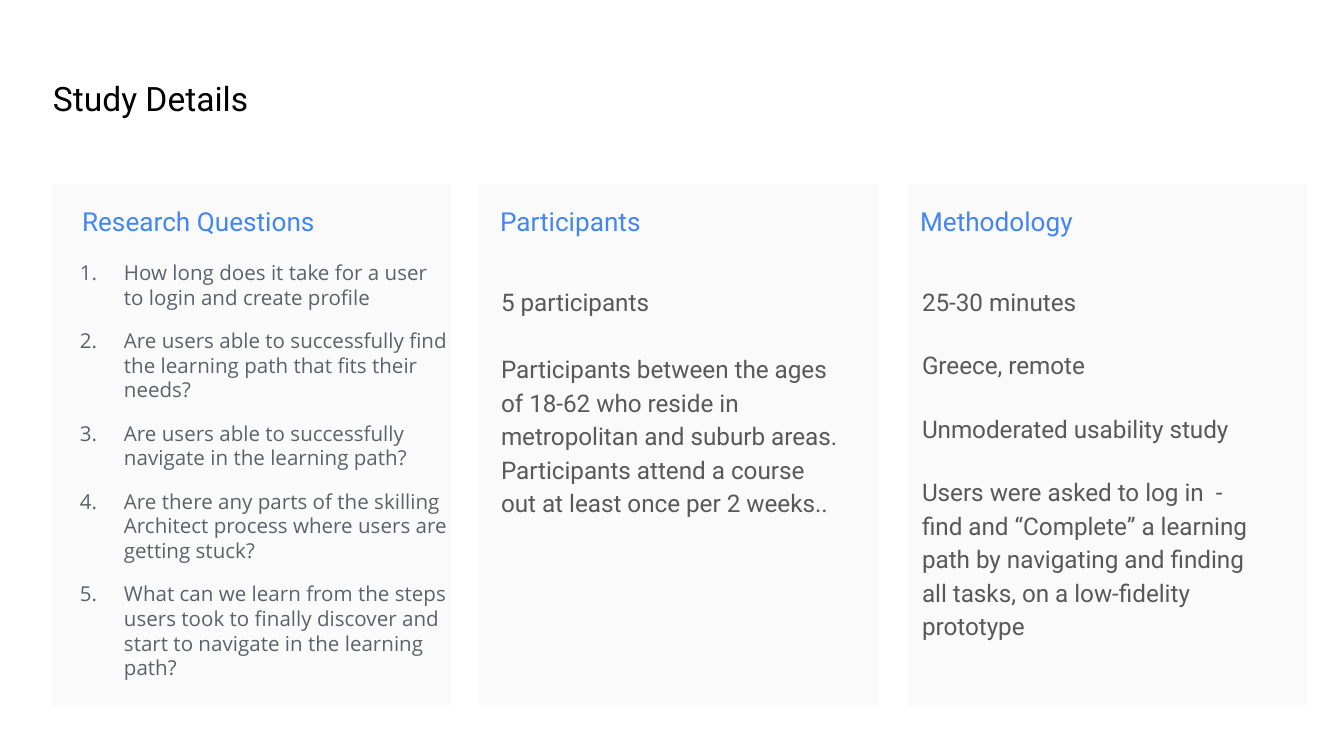
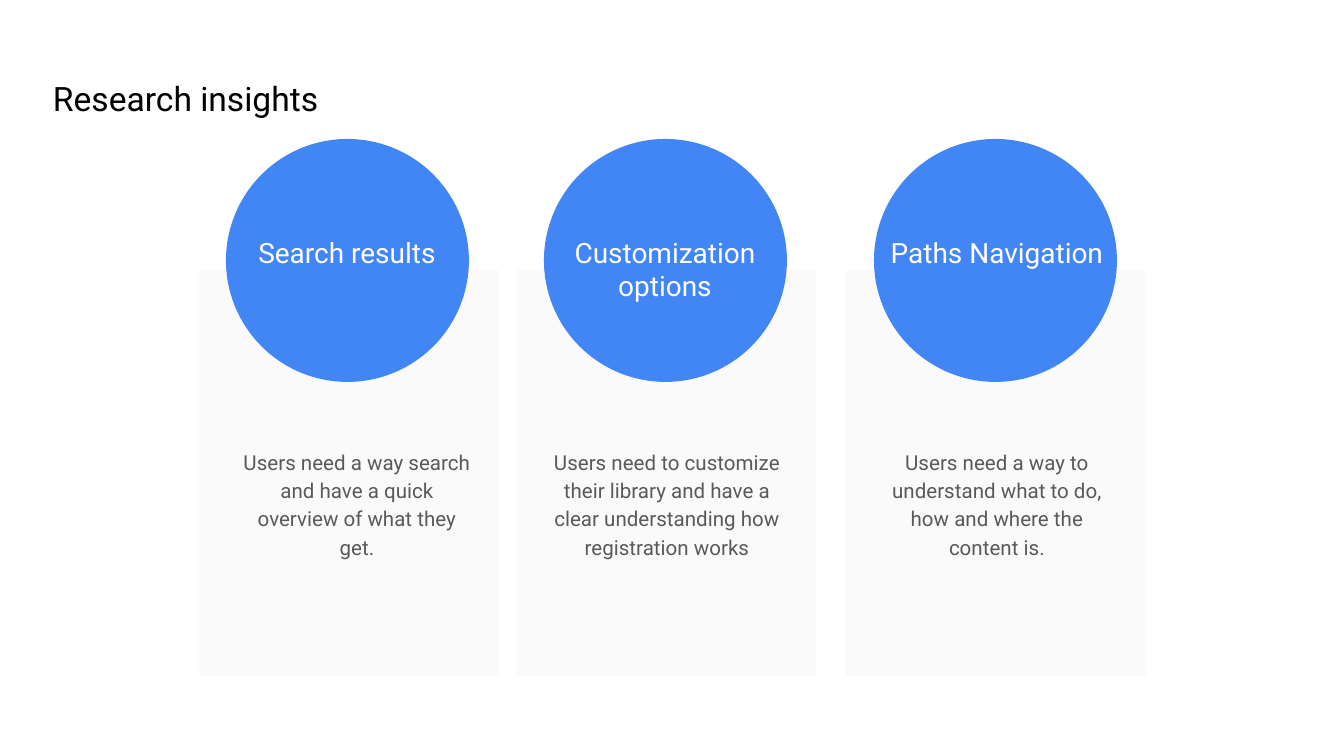
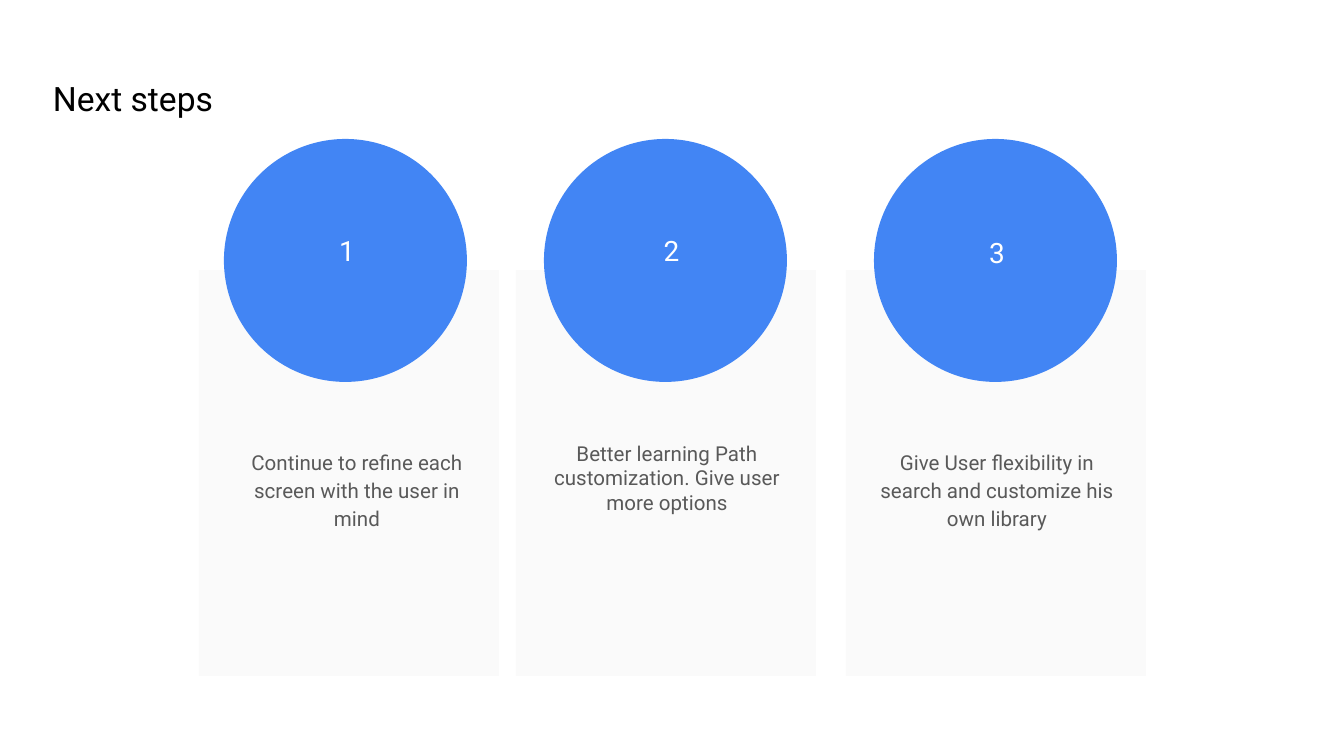
from dataclasses import dataclass
from typing import NamedTuple

from lxml.etree import SubElement
from pptx import Presentation
from pptx.dml.color import RGBColor
from pptx.enum.shapes import MSO_SHAPE
from pptx.enum.text import MSO_ANCHOR, PP_ALIGN
from pptx.oxml.ns import qn
from pptx.util import Pt

SLIDE_W, SLIDE_H = 1344, 756
EMU_PER_PX = 9144000 / SLIDE_W


def px(length):
    return round(length * EMU_PER_PX)


class Box(NamedTuple):
    left: int
    top: int
    width: int
    height: int

    def inner(self, dx, dy, width, height):
        """A box placed relative to this one's top left corner."""
        return Box(self.left + dx, self.top + dy, width, height)


@dataclass(frozen=True)
class Style:
    size: int
    color: str
    font: str = "Roboto"
    align: PP_ALIGN = PP_ALIGN.LEFT
    line_spacing: float = 1.0
    space_before: int = 0


class Theme:
    background = "FFFFFF"
    card = "FAFAFA"
    accent = "4285F4"
    inset = 13
    title = Style(18, "000000", line_spacing=1.15)
    heading = Style(14, accent)
    questions = Style(11, "5E6268", font="Open Sans", space_before=10)
    participants = Style(13, "595959", line_spacing=1.15, space_before=18)
    methodology = Style(13, "595959", line_spacing=1.15, space_before=16)
    label = Style(15, "FFFFFF", align=PP_ALIGN.CENTER)
    insight = Style(11, "595959", align=PP_ALIGN.CENTER, line_spacing=1.15)
    insight_tight = Style(11, "595959", align=PP_ALIGN.CENTER)


# Shared parts

def add_panel(slide, preset, box, color):
    panel = slide.shapes.add_shape(preset, *map(px, box))
    panel.shadow.inherit = False
    panel.fill.solid()
    panel.fill.fore_color.rgb = RGBColor.from_string(color)
    panel.line.fill.background()


def number_paragraph(paragraph, color):
    props = paragraph._p.get_or_add_pPr()
    props.set("marL", str(px(67)))
    props.set("indent", str(px(-44)))
    bullet_color = SubElement(props, qn("a:buClr"))
    SubElement(bullet_color, qn("a:srgbClr")).set("val", color)
    SubElement(props, qn("a:buAutoNum")).set("type", "arabicPeriod")


def add_text(slide, box, lines, style, numbered=False, top_inset=Theme.inset):
    frame = slide.shapes.add_textbox(*map(px, box)).text_frame
    frame.word_wrap = True
    frame.vertical_anchor = MSO_ANCHOR.TOP
    frame.margin_left = frame.margin_right = frame.margin_bottom = px(Theme.inset)
    frame.margin_top = px(top_inset)
    for index, line in enumerate(lines):
        paragraph = frame.add_paragraph() if index else frame.paragraphs[0]
        paragraph.alignment = style.align
        paragraph.line_spacing = style.line_spacing
        if index:
            paragraph.space_before = Pt(style.space_before)
        if numbered:
            number_paragraph(paragraph, style.color)
        run = paragraph.add_run()
        run.text = line
        run.font.name = style.font
        run.font.size = Pt(style.size)
        run.font.color.rgb = RGBColor.from_string(style.color)


def add_titled_slide(deck, title, title_width=677, title_height=71):
    slide = deck.slides.add_slide(deck.slide_layouts[6])
    slide.background.fill.solid()
    slide.background.fill.fore_color.rgb = RGBColor.from_string(Theme.background)
    add_text(slide, Box(40, 59, title_width, title_height), [title], Theme.title)
    return slide


# Study details: three cards at equal steps

@dataclass(frozen=True)
class Detail:
    heading: str
    heading_dx: int
    lines: tuple
    style: Style
    body: tuple  # dx, dy, width, height within the card
    numbered: bool = False


DETAILS = (
    Detail("Research Questions", 18, (
        "How long does it take for a user to login and create profile",
        "Are users able to successfully find the learning path that fits their needs?",
        "Are users able to successfully navigate in the learning path?",
        "Are there any parts of the skilling Architect process where users are "
        "getting stuck?",
        "What can we learn from the steps users took to finally discover and "
        "start to navigate in the learning path?",
    ), Theme.questions, (-7, 63, 418, 474), numbered=True),
    Detail("Participants", 8, (
        "5 participants",
        "Participants between the ages of 18-62 who reside in metropolitan and "
        "suburb areas. Participants attend a course out at least once per 2 weeks..",
    ), Theme.participants, (9, 86, 364, 325)),
    Detail("Methodology", 0, (
        "25-30 minutes",
        "Greece, remote",
        "Unmoderated usability study",
        "Users were asked to log in  - find and “Complete” a learning path by "
        "navigating and finding all tasks, on a low-fidelity prototype",
    ), Theme.methodology, (2, 86, 364, 401)),
)


def draw_detail_card(slide, card, detail):
    add_panel(slide, MSO_SHAPE.RECTANGLE, card, Theme.card)
    add_text(slide, card.inner(detail.heading_dx, 8, 364, 42),
             [detail.heading], Theme.heading)
    add_text(slide, card.inner(*detail.body), detail.lines, detail.style,
             detail.numbered)


def build_details_slide(deck):
    slide = add_titled_slide(deck, "Study Details", 852, 97)
    for column, detail in enumerate(DETAILS):
        draw_detail_card(slide, Box(51 + 428 * column, 184, 400, 521), detail)


# Insights and next steps: a circle over each card

@dataclass(frozen=True)
class Point:
    label: str
    insight: str
    label_box: tuple = (20, -48, 262, 79)
    circle_dx: int = 28
    insight_dx: int = 20
    style: Style = Theme.insight


CARD_LEFTS = (199, 516, 846)

INSIGHTS = (
    Point("Search results",
          "Users need a way search and have a quick overview of what they get.",
          label_box=(17, -48, 262, 79), circle_dx=27, insight_dx=27),
    Point("Customization options",
          "Users need to customize their library and have a clear understanding "
          "how registration works",
          label_box=(18, -48, 262, 79)),
    Point("Paths Navigation",
          "Users need a way to understand what to do, how and where the content is."),
)

NEXT_STEPS = (
    Point("1", "Continue to refine each screen with the user in mind",
          label_box=(81, -50, 134, 63), circle_dx=25, insight_dx=27),
    Point("2", "Better learning Path customization. Give user more options",
          label_box=(113, -50, 85, 63), style=Theme.insight_tight),
    Point("3", "Give User flexibility in search and customize his own library"),
)


def draw_point_card(slide, card, point):
    add_panel(slide, MSO_SHAPE.RECTANGLE, card, Theme.card)
    add_panel(slide, MSO_SHAPE.OVAL, card.inner(point.circle_dx, -131, 243, 243),
              Theme.accent)
    add_text(slide, card.inner(*point.label_box), [point.label], Theme.label)
    add_text(slide, card.inner(point.insight_dx, 104, 262, 198), [point.insight],
             point.style, top_inset=72)


def build_points_slide(deck, title, points):
    slide = add_titled_slide(deck, title)
    for left, point in zip(CARD_LEFTS, points):
        draw_point_card(slide, Box(left, 270, 300, 406), point)


def main():
    deck = Presentation()
    deck.slide_width, deck.slide_height = px(SLIDE_W), px(SLIDE_H)
    build_details_slide(deck)
    build_points_slide(deck, "Research insights", INSIGHTS)
    build_points_slide(deck, "Next steps", NEXT_STEPS)
    deck.save("out.pptx")


if __name__ == "__main__":
    main()
